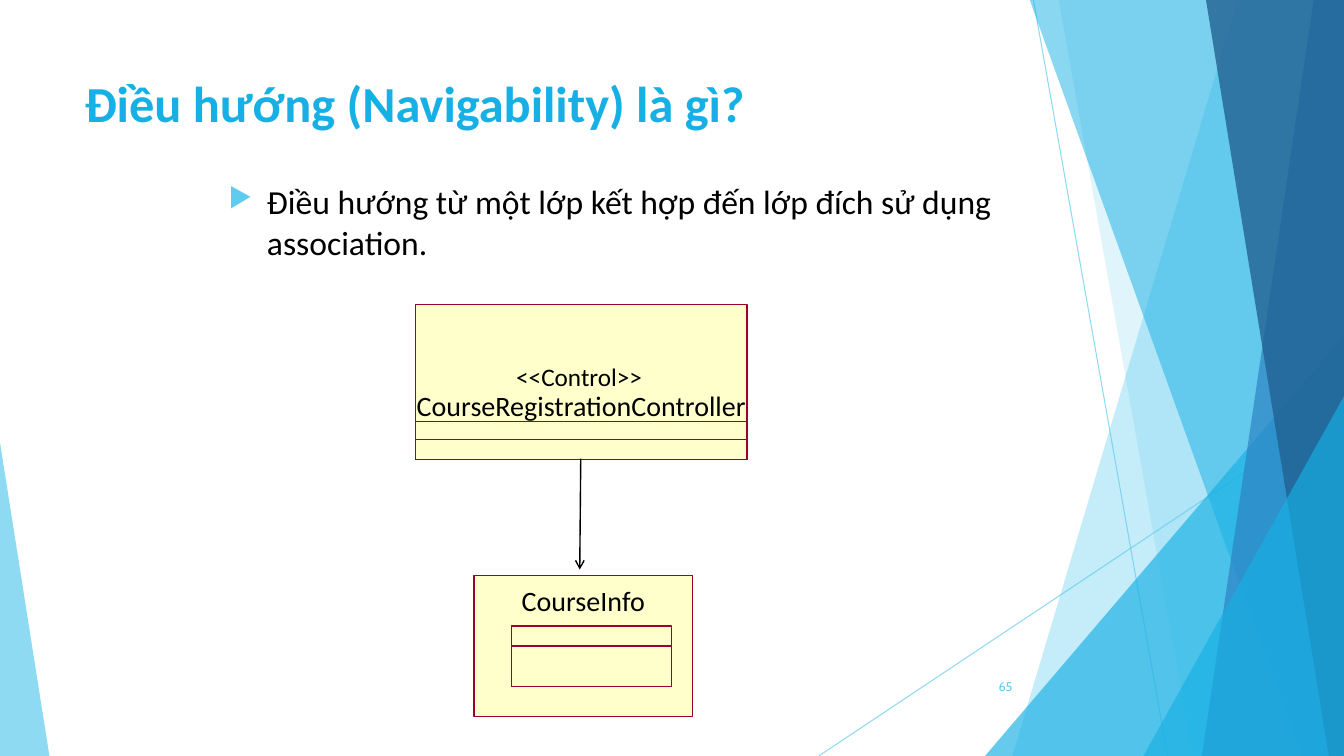
import pptx
import pptx.util
import pptx.dml.color
import pptx.enum.shapes
import pptx.enum.text
import pptx.oxml
import pptx.oxml.ns
from lxml import etree

Inches = pptx.util.Inches
Shapes = pptx.enum.shapes.MSO_SHAPE
Align = pptx.enum.text.PP_ALIGN
Anchor = pptx.enum.text.MSO_ANCHOR
qn = pptx.oxml.ns.qn

WIDTH, HEIGHT = 13.33, 7.5
SKY, CYAN, BLUE, NAVY = "5FCBEF", "17B0E4", "2E83C3", "226292"
CREAM, MAROON, BLACK = "FFFFCC", "990033", "000000"


def color(hex_string):
    return pptx.dml.color.RGBColor.from_string(hex_string)


def set_opacity(fill, percent):
    for rgb in fill._xPr.iter(qn("a:srgbClr")):
        etree.SubElement(rgb, qn("a:alpha"), val=str(percent * 1000))


def style_facet(shape, hex_string, opacity):
    """Give a decorative shape a translucent fill and no outline."""
    shape.shadow.inherit = False
    shape.fill.solid()
    shape.fill.fore_color.rgb = color(hex_string)
    set_opacity(shape.fill, opacity)
    shape.line.fill.background()


def add_band(slide, top_left, bottom_left, hex_string, opacity):
    """Fill from a slanted left edge to the right edge of the slide."""
    top = Inches(-0.01)
    builder = slide.shapes.build_freeform(Inches(top_left), top)
    builder.add_line_segments([
        (Inches(WIDTH), top),
        (Inches(WIDTH), Inches(HEIGHT)),
        (Inches(bottom_left), Inches(HEIGHT)),
    ])
    style_facet(builder.convert_to_shape(), hex_string, opacity)


def add_corner(slide, left, width, height, apex, hex_string, opacity):
    """Place a triangle on the bottom edge; apex 0 is left, 1 is right."""
    shape = slide.shapes.add_shape(
        Shapes.ISOSCELES_TRIANGLE, Inches(left), Inches(HEIGHT - height),
        Inches(width), Inches(height))
    shape.adjustments[0] = apex
    style_facet(shape, hex_string, opacity)


def add_line(slide, start, end, hex_string, width):
    line = slide.shapes.add_connector(
        pptx.enum.shapes.MSO_CONNECTOR.STRAIGHT,
        *(Inches(value) for value in start + end))
    line.line.color.rgb = color(hex_string)
    line.line.width = pptx.util.Pt(width)
    etree.SubElement(line._element.spPr, qn("a:effectLst"))
    return line


def add_background(slide):
    for start, end in (((10.25, 0), (11.58, HEIGHT)),
                       ((WIDTH, 4.03), (8.12, HEIGHT))):
        line = add_line(slide, start, end, SKY, 0.75)
        set_opacity(line.line.fill, 70)
    add_band(slide, 12.28, 10.04, SKY, 36)
    add_band(slide, 10.5, 11.83, SKY, 20)
    add_corner(slide, 9.77, 3.56, 4.17, 1, CYAN, 66)
    add_band(slide, 10.21, 12.91, CYAN, 50)
    add_band(slide, 13.03, 11.92, BLUE, 70)
    add_band(slide, 11.96, 13.18, NAVY, 80)
    add_corner(slide, 11.34, 1.99, 3.57, 1, CYAN, 66)
    add_corner(slide, 0, 0.49, 3.11, 0, SKY, 70)


def add_text(slide, box, text, size, hex_string=BLACK, font="Calibri",
             bold=False, align=Align.LEFT, anchor=Anchor.TOP,
             label=False, bullet=False):
    """Add one paragraph; a label has no margins and does not wrap."""
    frame = slide.shapes.add_textbox(*map(Inches, box)).text_frame
    frame.word_wrap = not label
    frame.vertical_anchor = anchor
    if label:
        frame.margin_left = frame.margin_right = 0
        frame.margin_top = frame.margin_bottom = 0
        frame.auto_size = pptx.enum.text.MSO_AUTO_SIZE.SHAPE_TO_FIT_TEXT
    paragraph = frame.paragraphs[0]
    paragraph.text = text
    paragraph.alignment = align
    if bullet:
        add_bullet(paragraph)
    paragraph.font.name = font
    paragraph.font.size = pptx.util.Pt(size)
    paragraph.font.bold = bold
    paragraph.font.color.rgb = color(hex_string)


def add_bullet(paragraph):
    properties = paragraph._p.get_or_add_pPr()
    properties.set("marL", str(Inches(0.38)))
    properties.set("indent", str(Inches(-0.38)))
    bullet_color = etree.SubElement(properties, qn("a:buClr"))
    etree.SubElement(bullet_color, qn("a:srgbClr"), val=SKY)
    etree.SubElement(properties, qn("a:buSzPct"), val="80000")
    etree.SubElement(properties, qn("a:buChar"), char="▶")


def add_frame(slide, left, top, width, height, fill=None):
    shape = slide.shapes.add_shape(
        Shapes.RECTANGLE, *map(Inches, (left, top, width, height)))
    shape.shadow.inherit = False
    if fill:
        shape.fill.solid()
        shape.fill.fore_color.rgb = color(fill)
    else:
        shape.fill.background()
    shape.line.color.rgb = color(MAROON)
    shape.line.width = pptx.util.Pt(1)


def add_controller_class(slide, left, top, width, height):
    add_frame(slide, left, top, width, height, CREAM)
    add_text(slide, (left, top + 0.83, width, 0.34),
             "CourseRegistrationController", 20, align=Align.CENTER, label=True)
    for offset in (1.16, 1.34):
        add_frame(slide, left, top + offset, width, height - offset)
    add_text(slide, (left + 1, top + 0.56, 1.26, 0.3), "<<Control>>", 18,
             label=True)


def add_info_class(slide, left, top, width, height):
    add_frame(slide, left, top, width, height, CREAM)
    add_text(slide, (left + 0.47, top + 0.08, 1.23, 0.34), "CourseInfo", 20,
             align=Align.CENTER, label=True)
    for offset in (0.5, 0.7):
        add_frame(slide, left + 0.37, top + offset, 1.59, 1.1 - offset)


def add_navigation_arrow(slide, start, end):
    arrow = add_line(slide, start, end, BLACK, 1)
    etree.SubElement(arrow.line._get_or_add_ln(), qn("a:tailEnd"),
                     type="arrow", w="med", len="med")


def build_slide(presentation):
    slide = presentation.slides.add_slide(presentation.slide_layouts[6])
    add_background(slide)
    add_text(slide, (0.74, 0.67, 9.4, 1.44), "Điều hướng (Navigability) là gì?",
             36, CYAN, bold=True)
    add_text(slide, (2.17, 1.75, 9, 1.51),
             "Điều hướng từ một lớp kết hợp đến lớp đích sử dụng association.",
             24, bullet=True)
    add_text(slide, (9.39, 6.61, 0.75, 0.4), "65", 9, SKY, font="Cabin",
             align=Align.RIGHT, anchor=Anchor.MIDDLE)
    add_controller_class(slide, 4.12, 3.02, 3.29, 1.54)
    add_info_class(slide, 4.7, 5.71, 2.17, 1.4)
    add_navigation_arrow(slide, (5.76, 4.55), (5.75, 5.65))


def main():
    presentation = pptx.Presentation()
    presentation.slide_width = Inches(WIDTH)
    presentation.slide_height = Inches(HEIGHT)
    build_slide(presentation)
    presentation.save("out.pptx")


if __name__ == "__main__":
    main()
